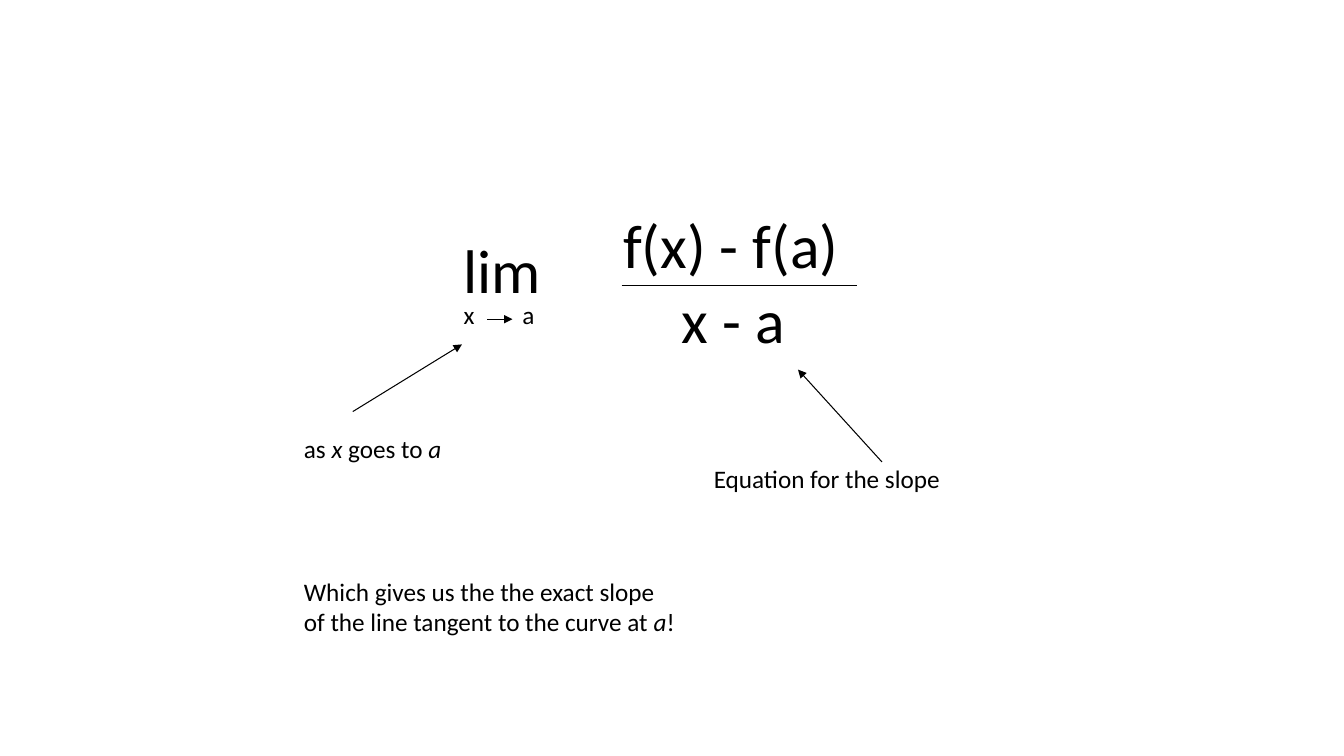
from lxml import etree
from pptx import Presentation
from pptx.dml.color import RGBColor
from pptx.enum.shapes import MSO_CONNECTOR
from pptx.enum.text import MSO_AUTO_SIZE
from pptx.oxml.ns import qn
from pptx.util import Inches, Pt

STRAIGHT = MSO_CONNECTOR.STRAIGHT
GROW = MSO_AUTO_SIZE.SHAPE_TO_FIT_TEXT
COLS, ROWS = 160, 90
BIG, SMALL = 44, 18


def color(code):
    return RGBColor.from_string(code)


class Board:
    face = "Calibri"
    ink = "000000"
    weight = 0.75

    def __init__(self, deck):
        self.deck = deck
        self.slide = deck.slides.add_slide(deck.slide_layouts[6])

    def spot(self, col, row):
        return (int(self.deck.slide_width * col / COLS),
                int(self.deck.slide_height * row / ROWS))

    def text(self, col, row, width, height, size, *lines, wrap=False):
        box = self.slide.shapes.add_textbox(
            *self.spot(col, row), *self.spot(width, height))
        frame = box.text_frame
        frame.word_wrap = wrap
        frame.auto_size = GROW
        for i, line in enumerate(lines):
            para = frame.add_paragraph() if i else frame.paragraphs[0]
            para.font.name = self.face
            para.font.size = Pt(size)
            para.font.color.rgb = color(self.ink)
            for j, part in enumerate(line.split("*")):
                if part:
                    run = para.add_run()
                    run.text = part
                    if j % 2:
                        run.font.italic = True

    def line(self, start, end, arrow=True):
        link = self.slide.shapes.add_connector(
            STRAIGHT, *self.spot(*start), *self.spot(*end))
        link.line.color.rgb = color(self.ink)
        link.line.width = Pt(self.weight)
        if arrow:
            etree.SubElement(link.line._get_or_add_ln(), qn("a:tailEnd"),
                             type="triangle")
        etree.SubElement(link._element.spPr, qn("a:effectLst"))


def main():
    deck = Presentation()
    deck.slide_width = Inches(13.33)
    deck.slide_height = Inches(7.5)
    board = Board(deck)

    board.text(54, 27, 12.2, 10, BIG, "lim")
    board.text(61, 35, 4.2, 4.8, SMALL, "a", wrap=True)
    board.text(54, 35, 3.7, 4.8, SMALL, "x")
    board.line((58, 38), (61, 38))

    board.text(73, 24, 33, 10, BIG, "f(x) - f(a)", wrap=True)
    board.text(80, 33, 14.8, 10, BIG, "x - a")
    board.line((74, 34), (102, 34), arrow=False)

    board.text(83.8, 54.6, 29.6, 4.8, SMALL, "Equation for the slope")
    board.line((105, 55), (95, 44))

    board.text(35, 68, 47.2, 8.5, SMALL,
               "Which gives us the the exact slope",
               "of the line tangent to the curve at *a*!")

    board.text(35, 51, 19, 4.8, SMALL, "as *x* goes to *a*")
    board.line((42, 49), (55, 41))

    deck.save("out.pptx")


if __name__ == "__main__":
    main()
